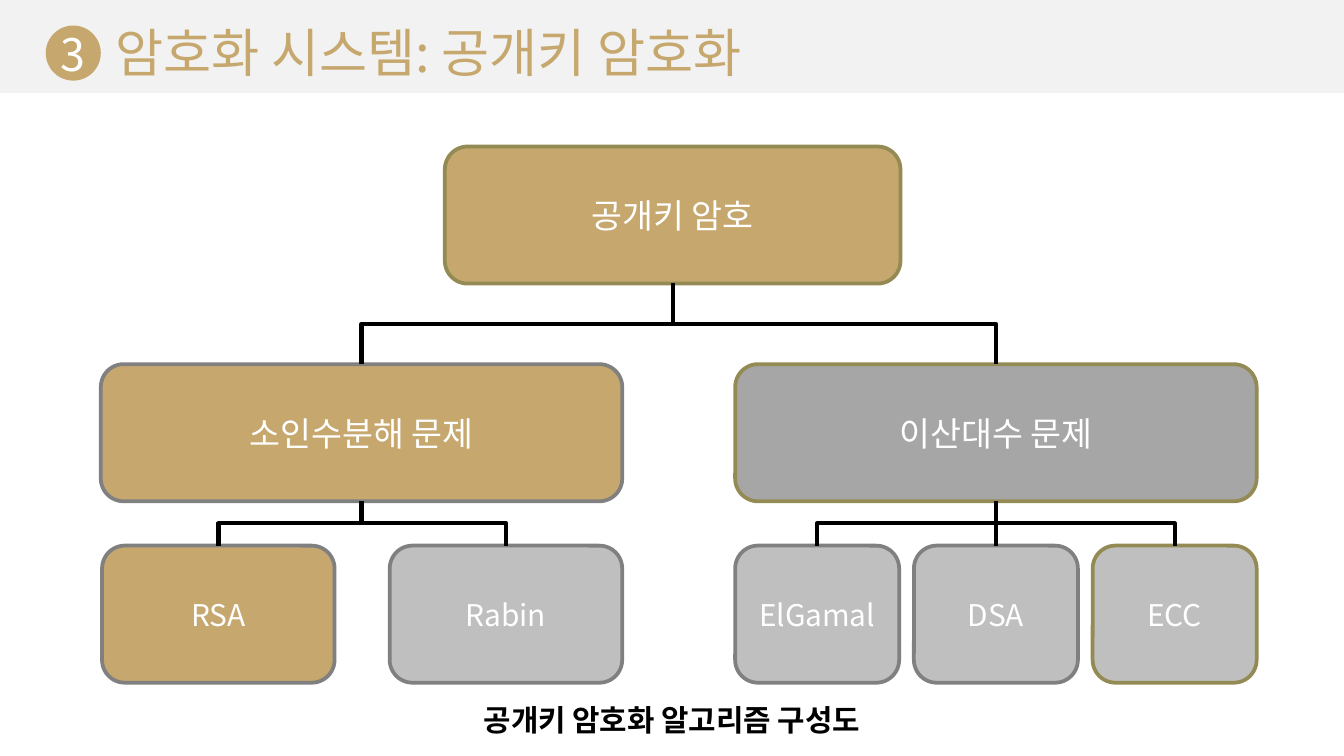
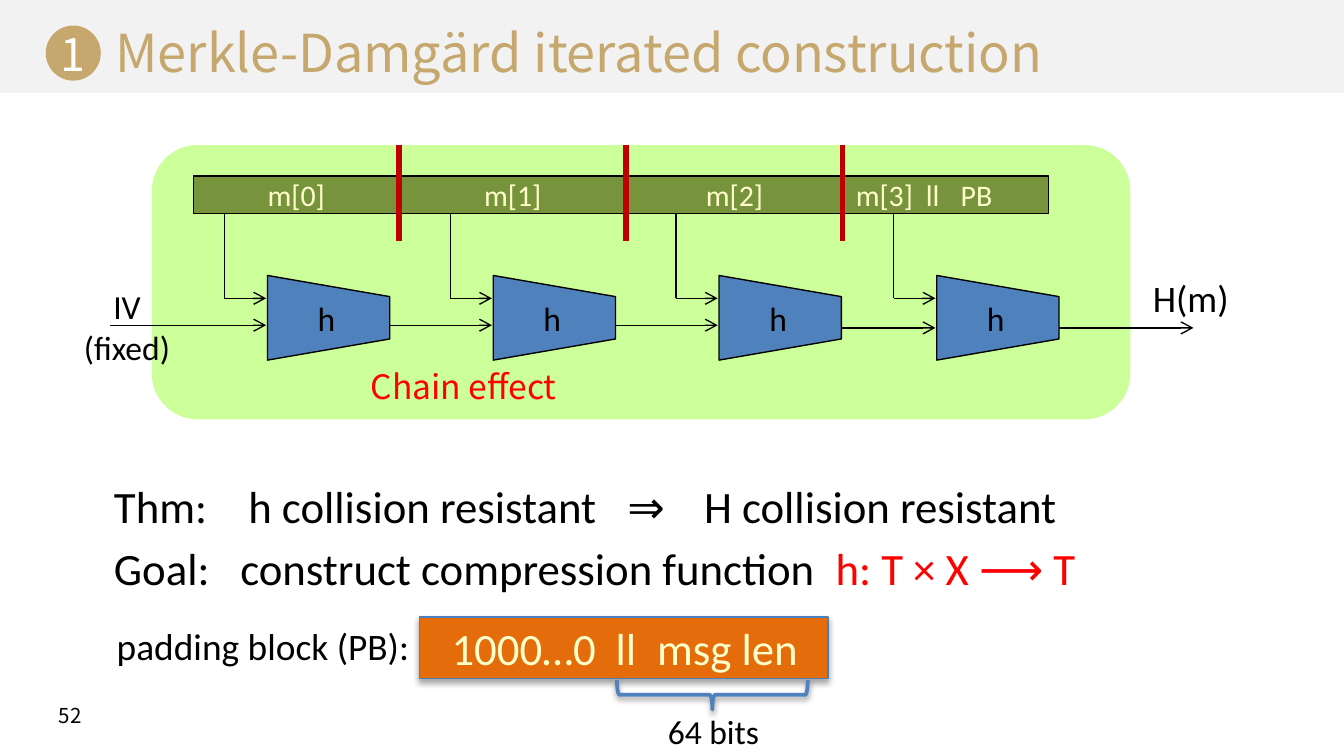
from lxml import etree
from pptx import Presentation
from pptx.dml.color import RGBColor
from pptx.enum.shapes import MSO_CONNECTOR, MSO_SHAPE
from pptx.enum.text import MSO_ANCHOR, PP_ALIGN
from pptx.oxml.ns import qn
from pptx.util import Inches, Pt

RECT, ROUND, OVAL = MSO_SHAPE.RECTANGLE, MSO_SHAPE.ROUNDED_RECTANGLE, MSO_SHAPE.OVAL
TRAPEZOID, BRACE = MSO_SHAPE.TRAPEZOID, MSO_SHAPE.RIGHT_BRACE
STRAIGHT, ELBOW = MSO_CONNECTOR.STRAIGHT, MSO_CONNECTOR.ELBOW
LEFT, CENTER = PP_ALIGN.LEFT, PP_ALIGN.CENTER
MIDDLE, BOTTOM = MSO_ANCHOR.MIDDLE, MSO_ANCHOR.BOTTOM
BOTTOM_SITE, TOP_SITE = 2, 0

NOTO, CALIBRI = "Noto Sans CJK KR", "Calibri"
BLACK, WHITE, RED = "000000", "FFFFFF", "FF0000"
BAND, GOLD, OLIVE = "F2F2F2", "C6A86F", "948A54"
DARK, MID, LIGHT = "808080", "A6A6A6", "BFBFBF"
CREAM, BLUE = "FFFFCC", "4F81BD"


def rgb(color):
    return RGBColor.from_string(color)


def set_attrs(obj, values):
    for name, value in values.items():
        setattr(obj, name, value)


def add_tabs(p, stops):
    tabs = etree.SubElement(p._p.get_or_add_pPr(), qn("a:tabLst"))
    for stop in stops:
        etree.SubElement(tabs, qn("a:tab"), pos=str(Inches(stop)), algn="l")


def write(shape, lines, size, color=BLACK, font=NOTO, align=LEFT, bold=False,
          frame=None, before=0, tabs=(), indent=0):
    """Each line is a list of (text, colour) runs, or a plain string."""
    tf = shape.text_frame
    set_attrs(tf, {"word_wrap": True, **(frame or {})})
    for i, line in enumerate(lines):
        p = tf.paragraphs[0] if i == 0 else tf.add_paragraph()
        set_attrs(p, {"alignment": align, "space_before": Pt(before)})
        if indent:
            p._p.get_or_add_pPr().set("marL", str(Inches(indent)))
        if tabs:
            add_tabs(p, tabs[i])
        for text, run_color in [(line, color)] if isinstance(line, str) else line:
            r = p.add_run()
            r.text = text
            set_attrs(r.font, {"size": Pt(size), "bold": bold, "name": font})
            r.font.color.rgb = rgb(run_color)
            etree.SubElement(r._r.get_or_add_rPr(), qn("a:ea"), typeface=font)


def add_text(s, box, lines, size, **fmt):
    tb = s.shapes.add_textbox(*map(Inches, box))
    write(tb, lines, size, **fmt)


def add_box(s, kind, box, fill=None, line=None, width=0.75):
    sp = s.shapes.add_shape(kind, *map(Inches, box))
    sp.shadow.inherit = False
    if fill:
        sp.fill.solid()
        sp.fill.fore_color.rgb = rgb(fill)
    else:
        sp.fill.background()
    if line:
        sp.line.color.rgb = rgb(line)
        sp.line.width = Pt(width)
    else:
        sp.line.fill.background()
    return sp


def add_shadow(sp, alpha, blur, dist):
    effects = sp._element.spPr.find(qn("a:effectLst"))
    shadow = etree.SubElement(effects, qn("a:outerShdw"), blurRad=str(Pt(blur)),
                              dist=str(Pt(dist)), dir="5400000", rotWithShape="0")
    color = etree.SubElement(shadow, qn("a:srgbClr"), val=BLACK)
    etree.SubElement(color, qn("a:alpha"), val=str(alpha * 1000))


def add_line(s, start, end, color=BLACK, width=0.75, arrow=False, kind=STRAIGHT):
    cn = s.shapes.add_connector(kind, *map(Inches, (*start, *end)))
    cn.line.color.rgb = rgb(color)
    cn.line.width = Pt(width)
    if arrow:
        etree.SubElement(cn.line._get_or_add_ln(), qn("a:tailEnd"), type="arrow")
    etree.SubElement(cn._element.spPr, qn("a:effectLst"))
    return cn


def join(s, parent, child):
    """Elbow that leaves the parent downwards and enters the child from above."""
    cn = add_line(s, (0, 0), (1, 1), width=2.25, kind=ELBOW)
    cn.begin_connect(parent, BOTTOM_SITE)
    cn.end_connect(child, TOP_SITE)
    x1, y1 = parent.left + parent.width // 2, parent.top + parent.height
    x2, y2 = child.left + child.width // 2, child.top
    drop, spread = y2 - y1, abs(x2 - x1)
    # The elbow runs sideways by nature, so it is turned a quarter
    to_left = x2 < x1
    set_attrs(cn._element.spPr.get_or_add_xfrm(),
              {"rot": 90.0 if to_left else 270.0, "flipH": not to_left, "flipV": False})
    set_attrs(cn, {"left": (x1 + x2 - drop) // 2, "top": (y1 + y2 - spread) // 2,
                   "width": drop, "height": spread})


def add_titled_slide(prs, number, title):
    s = prs.slides.add_slide(prs.slide_layouts[5])
    s.background.fill.solid()
    s.background.fill.fore_color.rgb = rgb(BAND)
    panel = add_box(s, RECT, (0, 0.69, 10, 4.94), WHITE)
    panel.height = prs.slide_height - panel.top
    badge = add_box(s, OVAL, (0.34, 0.19, 0.41, 0.41), GOLD)
    no_margins = dict.fromkeys(
        ("margin_left", "margin_right", "margin_top", "margin_bottom"), 0)
    write(badge, [number], 24, WHITE, align=CENTER,
          frame={"word_wrap": False, "vertical_anchor": MIDDLE, **no_margins})
    set_attrs(s.shapes.title, {"left": Inches(0.76), "top": Inches(0.09),
                               "width": Inches(8.97), "height": Inches(0.58)})
    write(s.shapes.title, [title], 28, GOLD, frame={"vertical_anchor": BOTTOM})
    return s


def add_node(s, text, left, top, width, fill, line, size):
    sp = add_box(s, ROUND, (left, top, width, 1.02), fill, line, 2)
    write(sp, [text], size, WHITE, align=CENTER, frame={"vertical_anchor": MIDDLE})
    return sp


def public_key_slide(prs):
    s = add_titled_slide(prs, "3", "암호화 시스템: 공개키 암호화")
    root = add_node(s, "공개키 암호", 3.31, 1.09, 3.39, GOLD, OLIVE, 18)

    # Problem, left, fill, line, then first leaf, leaf width, leaf step, leaves
    branches = [
        ("소인수분해 문제", 0.75, GOLD, DARK, 0.76, 1.73, 2.14,
         [("RSA", GOLD, DARK), ("Rabin", LIGHT, DARK)]),
        ("이산대수 문제", 5.47, MID, OLIVE, 5.47, 1.22, 1.33,
         [("ElGamal", LIGHT, DARK), ("DSA", LIGHT, DARK), ("ECC", LIGHT, OLIVE)]),
    ]
    for problem, left, fill, line, leaf_left, leaf_width, step, leaves in branches:
        branch = add_node(s, problem, left, 2.71, 3.88, fill, line, 18)
        join(s, root, branch)
        for i, (name, leaf_fill, leaf_line) in enumerate(leaves):
            leaf = add_node(s, name, leaf_left + i * step, 4.06, leaf_width,
                            leaf_fill, leaf_line, 16)
            join(s, branch, leaf)

    add_text(s, (0, 5.17, 10, 0.37), ["공개키 암호화 알고리즘 구성도"], 16,
             align=CENTER, bold=True)


def add_message_blocks(s, edges):
    labels = ["m[0]", "m[1]", "m[2]", "m[3]\tll\tPB"]
    for label, left, right in zip(labels, edges, edges[1:]):
        block = add_box(s, RECT, (left, 1.31, right - left, 0.28), "77933C", BLACK)
        tabbed = "\t" in label
        write(block, [label], 16, CREAM, CALIBRI, LEFT if tabbed else CENTER,
              frame={"vertical_anchor": MIDDLE, "margin_top": 0, "margin_bottom": 0},
              tabs=[(0.52, 0.78)] if tabbed else ())


def add_hash_chain(s, lefts):
    depth, height = 0.91, 0.63
    for left in lefts:
        # Block input, bent down into the function
        add_line(s, (left - 0.32, 1.59), (left - 0.32, 2.22))
        add_line(s, (left - 0.32, 2.22), (left - 0.01, 2.22), arrow=True)
        h = add_box(s, TRAPEZOID, (left + (depth - height) / 2, 1.91, height, depth),
                    BLUE, BLACK)
        h.rotation = 90
        write(h, ["h"], 18, font=CALIBRI, align=CENTER,
              frame={"vertical_anchor": MIDDLE}, indent=0.12)
        h.text_frame._txBody.bodyPr.set("vert", "vert270")
    # Chaining values, from IV to H(m)
    starts = [0.82] + [left + depth for left in lefts]
    ends = [left - 0.01 for left in lefts] + [8.88]
    for x1, x2, y in zip(starts, ends, (2.42, 2.42, 2.42, 2.44, 2.44)):
        add_line(s, (x1, y), (x2, y), arrow=True)


def merkle_damgard_slide(prs):
    s = add_titled_slide(prs, "1", "Merkle-Damgärd iterated construction")
    add_text(s, (0.34, 5.18, 2.25, 0.3), ["52"], 11)

    # Iterated construction
    edges = [1.44, 2.97, 4.66, 6.27, 7.8]
    add_box(s, ROUND, (1.13, 1.08, 7.28, 2.04), "CCFF99")
    add_message_blocks(s, edges)
    add_hash_chain(s, [1.99, 3.67, 5.35, 6.97])
    for x in edges[1:-1]:
        add_line(s, (x, 1.08), (x, 1.79), "C00000", 3)
    no_wrap = {"word_wrap": False}
    add_text(s, (0.52, 2.08, 0.85, 0.71), ["IV", "(fixed)"], 18, font=CALIBRI,
             align=CENTER, frame=no_wrap)
    add_text(s, (8.48, 2, 0.77, 0.44), ["H(m)"], 20, font=CALIBRI, frame=no_wrap)
    add_text(s, (2.66, 2.67, 1.7, 0.4), ["Chain effect"], 18, color=RED)

    # Theorem and goal
    add_text(s, (0.75, 3.51, 7.44, 0.98),
             ["Thm:\th collision resistant\t⇒\tH collision resistant",
              [("Goal:\tconstruct compression function\t", BLACK),
               ("h: T × X ⟶ T", RED)]],
             24, font=CALIBRI, before=4.8, tabs=[(1, 3.82, 4.39), (0.94, 5.37)])

    # Padding block
    add_text(s, (0.77, 4.59, 3.39, 0.44), ["padding block (PB):"], 20, font=CALIBRI)
    padding = add_box(s, RECT, (3.12, 4.59, 3.04, 0.46), "E46C0A", "4B7EBC")
    add_shadow(padding, 35, 3.1, 1.8)
    write(padding, ["1000…0\tll\tmsg len"], 24, CREAM, CALIBRI,
          frame={"vertical_anchor": MIDDLE, "margin_left": Inches(0.24),
                 "margin_right": 0}, tabs=[(1.22, 1.53)])
    brace = add_box(s, BRACE, (5.19, 4.46, 0.22, 1.42), line=BLUE, width=2)
    brace.rotation = 90
    add_shadow(brace, 38, 3.1, 1.6)
    add_text(s, (4.87, 5.24, 0.89, 0.4), ["64 bits"], 18, font=CALIBRI, frame=no_wrap)


def main():
    prs = Presentation()
    prs.slide_width = Inches(10)
    prs.slide_height = prs.slide_width * 9 // 16
    public_key_slide(prs)
    merkle_damgard_slide(prs)
    prs.save("out.pptx")


if __name__ == "__main__":
    main()
